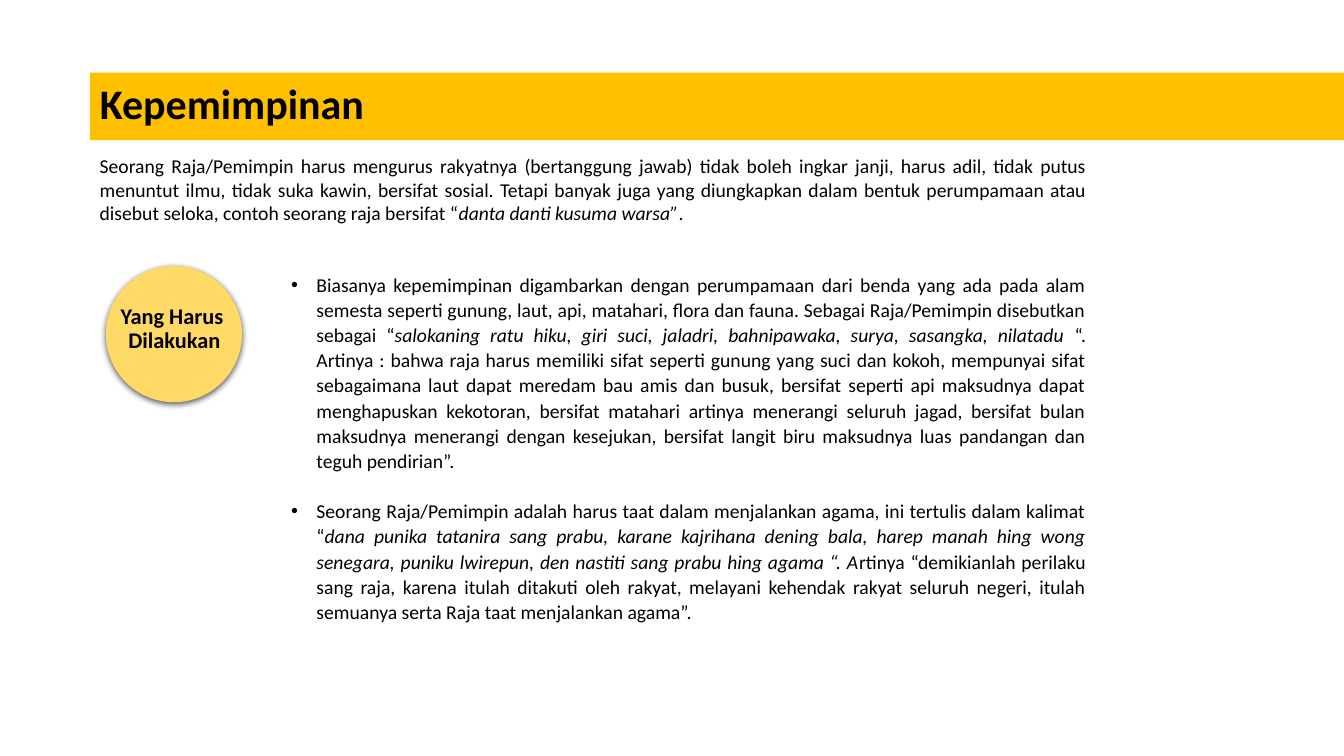
"""Build the leadership slide with a title band, an introduction and a bulleted section."""
from dataclasses import dataclass

from lxml import etree
from pptx import Presentation
from pptx.dml.color import RGBColor
from pptx.enum.shapes import MSO_SHAPE
from pptx.enum.text import MSO_ANCHOR, MSO_AUTO_SIZE, PP_ALIGN
from pptx.oxml import parse_xml
from pptx.oxml.ns import qn
from pptx.shapes.autoshape import Shape
from pptx.slide import Slide
from pptx.util import Inches, Pt

LEFT, CENTER, JUSTIFY = PP_ALIGN.LEFT, PP_ALIGN.CENTER, PP_ALIGN.JUSTIFY
TOP, MIDDLE = MSO_ANCHOR.TOP, MSO_ANCHOR.MIDDLE
NO_FIT = MSO_AUTO_SIZE.NONE
OVAL = MSO_SHAPE.OVAL
COLORS = {"band": "FFC000", "circle": "FFD966", "text": "000000"}
FONT = "Calibri"
TITLE_ONLY = 5
SHADOW = (
    '<a:effectLst xmlns:a="http://schemas.openxmlformats.org/drawingml/2006/main">'
    '<a:outerShdw blurRad="57150" dist="19050" dir="5400000" algn="ctr" rotWithShape="0">'
    '<a:srgbClr val="000000"><a:alpha val="63000"/></a:srgbClr>'
    "</a:outerShdw></a:effectLst>"
)


@dataclass(frozen=True)
class Area:
    """Position and size in inches."""
    left: float
    top: float
    width: float
    height: float

    def lengths(self) -> tuple[Inches, ...]:
        """Return the four values as lengths."""
        return tuple(Inches(value) for value in (self.left, self.top, self.width, self.height))


@dataclass(frozen=True)
class Span:
    """A stretch of text in one style."""
    text: str
    italic: bool = False


@dataclass(frozen=True)
class TextBlock:
    """Paragraphs that share an area and a format."""
    area: Area
    paras: list[list[Span]]
    size: int
    alignment: PP_ALIGN
    line_spacing: float = 1.0
    bold: bool = False
    bulleted: bool = False
    anchor: MSO_ANCHOR = TOP


TITLE = TextBlock(Area(0.89, 0.72, 12.45, 0.67), [[Span("Kepemimpinan")]], 30, LEFT, 0.9,
                  bold=True, anchor=MIDDLE)
INTRODUCTION = TextBlock(Area(0.89, 1.48, 9.99, 0.81), [[
    Span("Seorang Raja/Pemimpin harus mengurus rakyatnya (bertanggung jawab) tidak boleh ingkar "
         "janji, harus adil, tidak putus menuntut ilmu, tidak suka kawin, bersifat sosial. Tetapi "
         "banyak juga yang diungkapkan dalam bentuk perumpamaan atau disebut seloka, contoh "
         "seorang raja bersifat “"),
    Span("danta danti kusuma warsa”", True),
    Span("."),
]], 14, JUSTIFY)
CIRCLE = Area(1.05, 2.64, 1.35, 1.35)
CIRCLE_LABEL = TextBlock(Area(1.04, 2.98, 1.38, 0.67),
                         [[Span("Yang Harus ")], [Span("Dilakukan")]], 16, CENTER, 0.9, bold=True)
DUTIES = TextBlock(Area(2.45, 2.64, 8.42, 3.85), [
    [
        Span("Biasanya kepemimpinan digambarkan dengan perumpamaan dari benda yang ada pada alam "
             "semesta seperti gunung, laut, api, matahari, flora dan fauna. Sebagai Raja/Pemimpin "
             "disebutkan sebagai “"),
        Span("salokaning ratu hiku, giri suci, jaladri, bahnipawaka, surya, sasangka, nilatadu",
             True),
        Span(" “. Artinya : bahwa raja harus memiliki sifat seperti gunung yang suci dan kokoh, "
             "mempunyai sifat sebagaimana laut dapat meredam bau amis dan busuk, bersifat seperti "
             "api maksudnya dapat menghapuskan kekotoran, bersifat matahari artinya menerangi "
             "seluruh jagad, bersifat bulan maksudnya menerangi dengan kesejukan, bersifat langit "
             "biru maksudnya luas pandangan dan teguh pendirian”."),
    ],
    [
        Span("Seorang Raja/Pemimpin adalah harus taat dalam menjalankan agama, ini tertulis dalam "
             "kalimat “"),
        Span("dana punika tatanira sang prabu, karane kajrihana dening bala, harep manah hing "
             "wong senegara, puniku lwirepun, den nastiti sang prabu hing agama “. A", True),
        Span("rtinya “demikianlah perilaku sang raja, karena itulah ditakuti oleh rakyat, "
             "melayani kehendak rakyat seluruh negeri, itulah semuanya serta Raja taat "
             "menjalankan agama”."),
    ],
], 14, JUSTIFY, 1.07, bulleted=True)


def apply(target: object, values: dict[str, object]) -> None:
    """Set each named attribute on the target."""
    for name, value in values.items():
        setattr(target, name, value)


def fill_solid(shape: Shape, color: str) -> None:
    """Give the shape a plain fill and no outline."""
    shape.fill.solid()
    shape.fill.fore_color.rgb = RGBColor.from_string(COLORS[color])
    shape.line.fill.background()


def write_text(box: Shape, block: TextBlock) -> None:
    """Place the box and write the block's paragraphs into it."""
    apply(box, dict(zip(("left", "top", "width", "height"), block.area.lengths())))
    frame = box.text_frame
    apply(frame, {"word_wrap": True, "auto_size": NO_FIT, "vertical_anchor": block.anchor})
    for index, spans in enumerate(block.paras):
        para = frame.add_paragraph() if index else frame.paragraphs[0]
        if block.bulleted:
            properties = para._p.get_or_add_pPr()
            properties.set("marL", str(Inches(0.59)))
            properties.set("indent", str(Inches(-0.25)))
            etree.SubElement(properties, qn("a:buFont")).set("typeface", "Arial")
            etree.SubElement(properties, qn("a:buChar")).set("char", "•")
        apply(para, {
            "alignment": block.alignment,
            "line_spacing": block.line_spacing,
            "space_before": Pt(10 if block.bulleted and index else 0),
            "space_after": Pt(8 if block.bulleted else 0),
        })
        for span in spans:
            run = para.add_run()
            run.text = span.text
            apply(run.font, {"name": FONT, "size": Pt(block.size), "bold": block.bold,
                             "italic": span.italic})
            run.font.color.rgb = RGBColor.from_string(COLORS["text"])


def add_text(page: Slide, block: TextBlock) -> None:
    """Add a text box holding the block."""
    write_text(page.shapes.add_textbox(*block.area.lengths()), block)


def add_circle(page: Slide, area: Area) -> None:
    """Add the shadowed circle behind its label."""
    circle = page.shapes.add_shape(OVAL, *area.lengths())
    fill_solid(circle, "circle")
    circle._element.spPr.append(parse_xml(SHADOW))


def main() -> None:
    """Build and save the deck."""
    deck = Presentation()
    apply(deck, {"slide_width": Inches(13.33), "slide_height": Inches(7.5)})
    page = deck.slides.add_slide(deck.slide_layouts[TITLE_ONLY])
    fill_solid(page.shapes.title, "band")
    write_text(page.shapes.title, TITLE)
    add_text(page, INTRODUCTION)
    add_circle(page, CIRCLE)
    add_text(page, CIRCLE_LABEL)
    add_text(page, DUTIES)
    deck.save("out.pptx")


if __name__ == "__main__":
    main()
